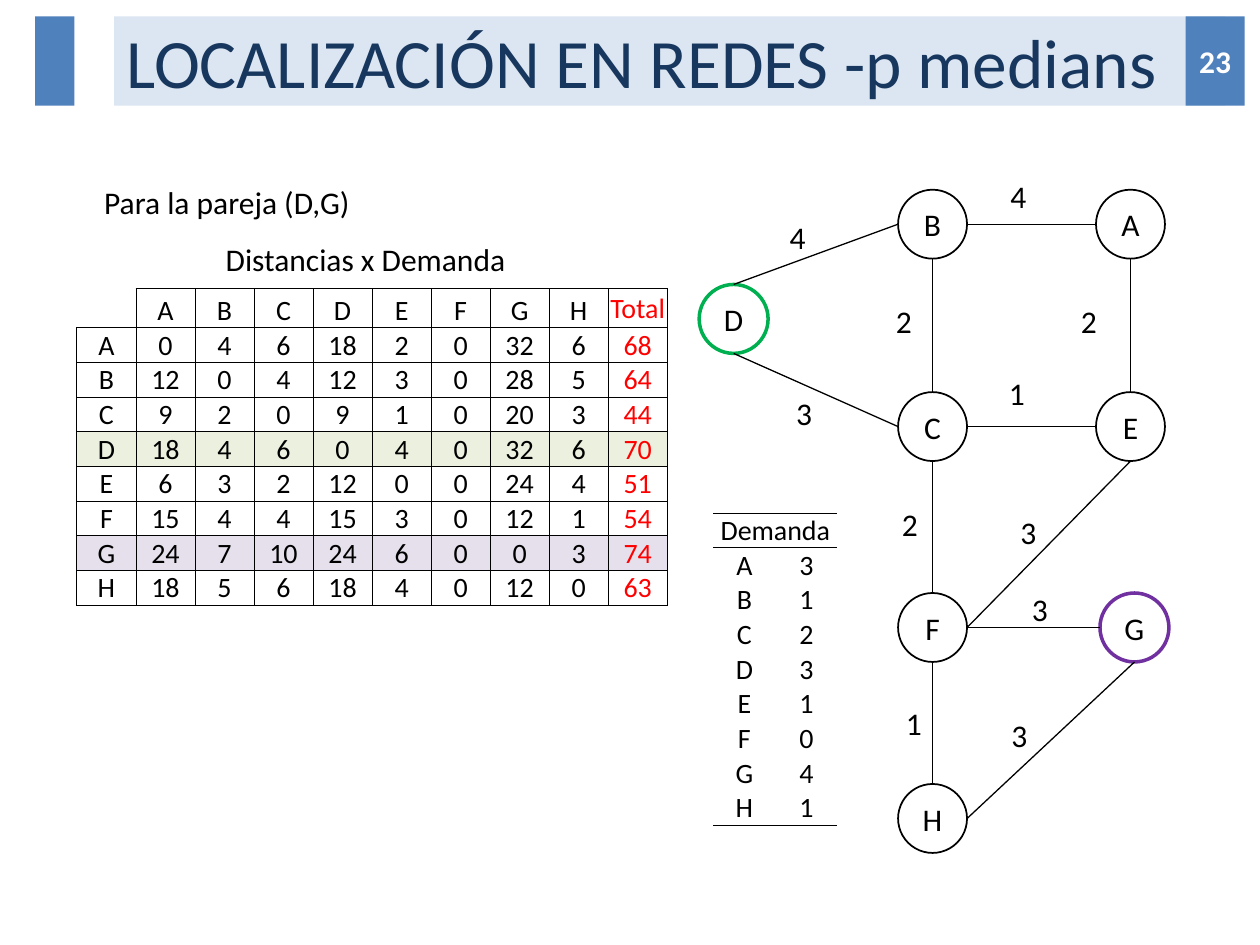
from dataclasses import dataclass

from lxml import etree
from pptx import Presentation
from pptx import util as u
from pptx.dml.color import RGBColor
from pptx.enum import shapes, text
from pptx.oxml import ns


@dataclass(frozen=True)
class Theme:
    font: str = "Calibri"
    black: str = "000000"
    white: str = "FFFFFF"
    red: str = "FF0000"
    navy: str = "17375E"
    blue: str = "4F81BD"
    pale_blue: str = "DCE6F2"
    green: str = "00B050"
    pale_green: str = "EBF1DE"
    purple: str = "7030A0"
    pale_purple: str = "E6E0EC"
    title_size: float = 39.6
    body_size: float = 18
    table_size: float = 16


T = Theme()
CENTER = text.PP_ALIGN.CENTER
MIDDLE = text.MSO_ANCHOR.MIDDLE
BOTTOM = text.MSO_ANCHOR.BOTTOM

# Network: node centres in cm, and highlighted outlines
DIAMETER = 1.39
NODES = {
    "D": (14.79, 6.43), "C": (18.8, 8.6), "F": (18.8, 12.65), "H": (18.8, 16.5),
    "B": (18.8, 4.52), "A": (22.79, 4.52), "E": (22.79, 8.6), "G": (22.87, 12.65),
}
CHOSEN = {"D": T.green, "G": T.purple}
SIDES = {"top": (0, -1), "bottom": (0, 1), "left": (-1, 0), "right": (1, 0)}

# Start node and side, end node and side, length, label position in cm
EDGES = [
    ("D", "top", "B", "left", 4, 15.67, 4.27),
    ("D", "bottom", "C", "left", 3, 15.8, 7.82),
    ("B", "right", "A", "left", 4, 20.12, 3.45),
    ("B", "bottom", "C", "top", 2, 17.81, 5.97),
    ("C", "right", "E", "left", 1, 20.09, 7.42),
    ("C", "bottom", "F", "top", 2, 17.93, 10.06),
    ("A", "bottom", "E", "top", 2, 21.54, 5.97),
    ("F", "right", "E", "bottom", 3, 20.32, 10.21),
    ("F", "right", "G", "left", 3, 20.55, 11.76),
    ("F", "bottom", "H", "top", 1, 18.01, 14.07),
    ("H", "right", "G", "bottom", 3, 20.14, 14.3),
]

# Table data
DEMAND = {"A": 3, "B": 1, "C": 2, "D": 3, "E": 1, "F": 0, "G": 4, "H": 1}
WEIGHTED = {
    "A": [0, 4, 6, 18, 2, 0, 32, 6],
    "B": [12, 0, 4, 12, 3, 0, 28, 5],
    "C": [9, 2, 0, 9, 1, 0, 20, 3],
    "D": [18, 4, 6, 0, 4, 0, 32, 6],
    "E": [6, 3, 2, 12, 0, 0, 24, 4],
    "F": [15, 4, 4, 15, 3, 0, 12, 1],
    "G": [24, 7, 10, 24, 6, 0, 0, 3],
    "H": [18, 5, 6, 18, 4, 0, 12, 0],
}
ROW_FILLS = {"D": T.pale_green, "G": T.pale_purple}


def write(tf, content, size=T.body_size, color=T.black, bold=False, align=None):
    p = tf.paragraphs[0]
    p.alignment = align
    r = p.add_run()
    r.text = str(content)
    r.font.name = T.font
    r.font.size = u.Pt(size)
    r.font.bold = bold
    r.font.color.rgb = RGBColor.from_string(color)


def add_box(s, kind, x, y, w, h, fill=None, line=None, line_width=1):
    sp = s.shapes.add_shape(kind, u.Cm(x), u.Cm(y), u.Cm(w), u.Cm(h))
    sp.shadow.inherit = False
    if fill:
        sp.fill.solid()
        sp.fill.fore_color.rgb = RGBColor.from_string(fill)
    else:
        sp.fill.background()
    if line:
        sp.line.color.rgb = RGBColor.from_string(line)
        sp.line.width = u.Pt(line_width)
    else:
        sp.line.fill.background()
    sp.text_frame.vertical_anchor = MIDDLE
    return sp


def add_label(s, content, x, y, w=1.12, h=1.02):
    tf = s.shapes.add_textbox(u.Cm(x), u.Cm(y), u.Cm(w), u.Cm(h)).text_frame
    tf.word_wrap = True
    write(tf, content)


def add_node(s, name):
    x, y = NODES[name]
    sp = add_box(s, shapes.MSO_SHAPE.OVAL, x - DIAMETER / 2, y - DIAMETER / 2,
                 DIAMETER, DIAMETER, line=CHOSEN.get(name, T.black),
                 line_width=2 if name in CHOSEN else 1)
    write(sp.text_frame, name, align=CENTER)


def node_point(name, side):
    return [u.Cm(c + d * DIAMETER / 2) for c, d in zip(NODES[name], SIDES[side])]


def add_edge(s, start, start_side, end, end_side):
    line = s.shapes.add_connector(shapes.MSO_CONNECTOR.STRAIGHT,
                                  *node_point(start, start_side), *node_point(end, end_side))
    line.line.color.rgb = RGBColor.from_string(T.black)
    line.line.width = u.Pt(0.75)
    etree.SubElement(line._element.spPr, ns.qn("a:effectLst"))


def add_grid(s, x, y, col_width, row_height, rows, cols):
    table = s.shapes.add_table(rows, cols, u.Cm(x), u.Cm(y), u.Cm(col_width * cols),
                               u.Cm(row_height * rows)).table
    table.first_row = table.horz_banding = False
    for col in table.columns:
        col.width = u.Cm(col_width)
    for row in table.rows:
        row.height = u.Cm(row_height)
    return table


def set_cell(cell, content, borders="", fill=None, color=T.black, anchor=BOTTOM):
    cell.margin_left = cell.margin_right = cell.margin_top = u.Cm(0.02)
    cell.margin_bottom = 0
    cell.vertical_anchor = anchor
    tc_pr = cell._tc.get_or_add_tcPr()
    for side in "LRTB":
        ln = etree.SubElement(tc_pr, ns.qn(f"a:ln{side}"), w=str(u.Pt(0.5)))
        if side in borders:
            solid = etree.SubElement(ln, ns.qn("a:solidFill"))
            etree.SubElement(solid, ns.qn("a:srgbClr"), val=T.black)
        else:
            etree.SubElement(ln, ns.qn("a:noFill"))
    if fill:
        cell.fill.solid()
        cell.fill.fore_color.rgb = RGBColor.from_string(fill)
    else:
        cell.fill.background()
    write(cell.text_frame, content, size=T.table_size, color=color, align=CENTER)


def add_demand_table(s):
    table = add_grid(s, 14.38, 10.34, 1.25, 0.7, len(DEMAND) + 1, 2)
    table.cell(0, 0).merge(table.cell(0, 1))
    set_cell(table.cell(0, 0), "Demanda", "TB")
    for i, pair in enumerate(DEMAND.items(), 1):
        borders = "T" if i == 1 else "B" if i == len(DEMAND) else ""
        for j, value in enumerate(pair):
            set_cell(table.cell(i, j), value, borders)


def add_weighted_table(s):
    rows = [["", *WEIGHTED, "Total"]]
    rows += [[name, *values, sum(values)] for name, values in WEIGHTED.items()]
    table = add_grid(s, 1.55, 5.82, 1.19, 0.7, len(rows), len(rows[0]))
    for i, row in enumerate(rows):
        for j, value in enumerate(row):
            is_total = j == len(row) - 1
            set_cell(table.cell(i, j), value, "LRTB" if i or j else "RB",
                     fill=ROW_FILLS.get(row[0]), color=T.red if is_total else T.black,
                     anchor=MIDDLE if is_total else BOTTOM)


def add_header(s):
    rect = shapes.MSO_SHAPE.RECTANGLE
    title = add_box(s, rect, 2.3, 0.33, 22.4, 1.8, fill=T.pale_blue)
    write(title.text_frame, "LOCALIZACIÓN EN REDES -p medians", size=T.title_size, color=T.navy)
    add_box(s, rect, 0.71, 0.33, 0.79, 1.8, fill=T.blue)
    number = add_box(s, rect, 23.9, 0.33, 1.19, 1.8, fill=T.blue)
    number.text_frame.margin_left = number.text_frame.margin_right = 0
    write(number.text_frame, "23", color=T.white, bold=True, align=CENTER)


def main():
    prs = Presentation()
    prs.slide_width, prs.slide_height = u.Cm(25.4), u.Cm(19.05)
    s = prs.slides.add_slide(prs.slide_layouts[6])
    add_header(s)
    # Network
    for name in NODES:
        add_node(s, name)
    for *ends, length, x, y in EDGES:
        add_edge(s, *ends)
        add_label(s, length, x, y)
    # Tables and their captions
    add_demand_table(s)
    add_weighted_table(s)
    add_label(s, "Para la pareja (D,G)", 1.85, 3.56, w=9.37)
    add_label(s, "Distancias x Demanda", 4.3, 4.72, w=8)
    prs.save("out.pptx")


if __name__ == "__main__":
    main()
